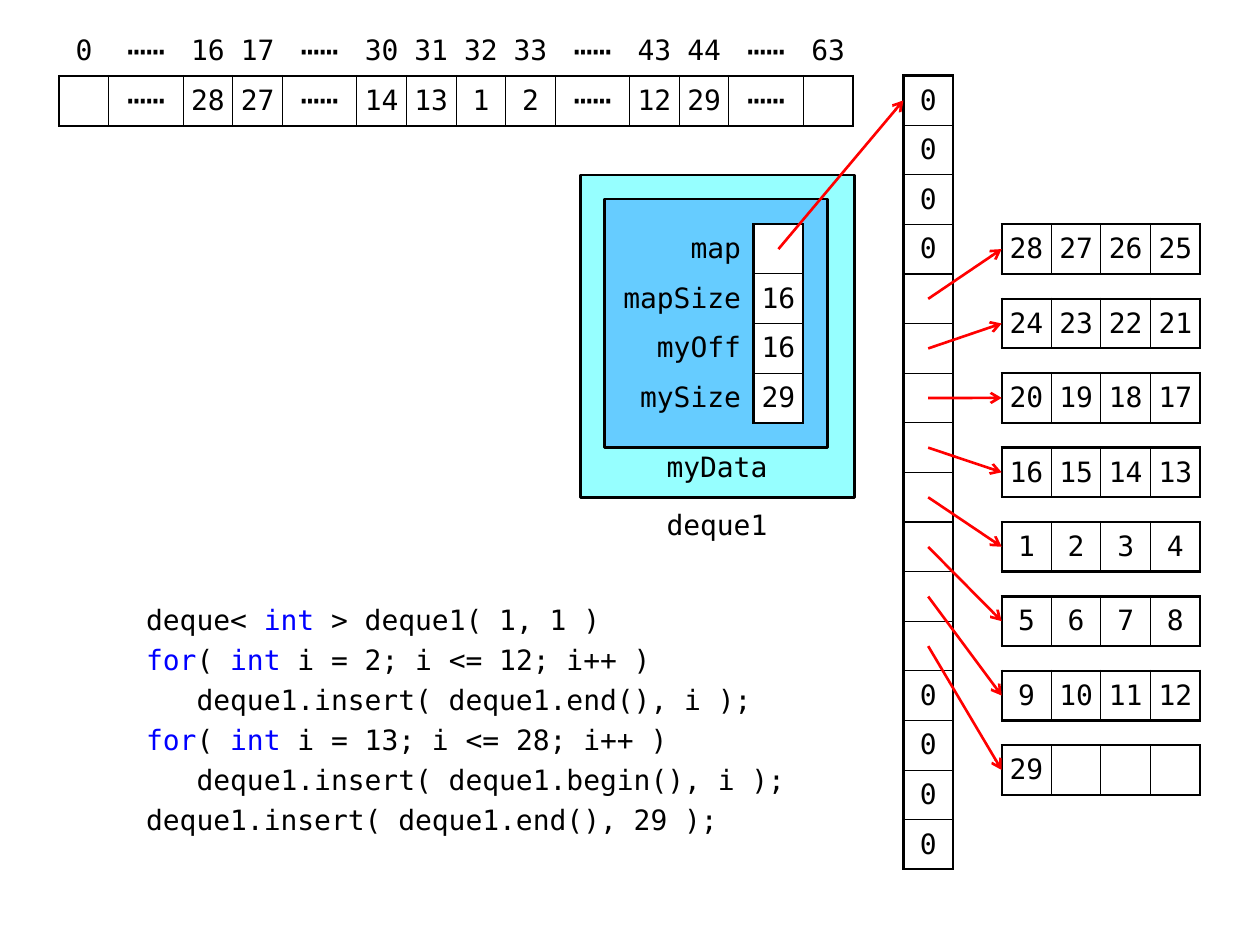
import pptx
import pptx.dml.color
import pptx.enum.shapes
import pptx.enum.text
import pptx.oxml
import pptx.oxml.ns
import pptx.util
from lxml import etree

Inches, Pt = pptx.util.Inches, pptx.util.Pt
ALIGN, ANCHOR = pptx.enum.text.PP_ALIGN, pptx.enum.text.MSO_ANCHOR
qn = pptx.oxml.ns.qn
NO_STYLE = "{2D5ABB26-0587-4C30-8999-92F81FD0307C}"

CELL = 6.3 / 16           # side of one memory cell
BLOCK_STEP = 1.5 * CELL   # distance between two blocks
DOTS = "⋯⋯"


def color(value):
    return pptx.dml.color.RGBColor.from_string(value)


def set_attrs(obj, **values):
    for name, value in values.items():
        setattr(obj, name, value)


class Diagram:
    font = {"name": "DejaVu Sans Mono", "size": Pt(16)}
    ink, keyword, pointer, paper = "000000", "0000FF", "FF0000", "FFFFFF"
    thick, thin = 1.5, 0.75

    def __init__(self, slide):
        self.slide = slide

    def run(self, p, text, fill=ink, **changes):
        r = p.add_run()
        r.text = text
        set_attrs(r.font, **{**self.font, **changes})
        r.font.color.rgb = color(fill)
        return r

    def code(self, sp, x, y, w, h, lines):
        """Code lines; every second part between bars is a keyword."""
        set_attrs(sp, left=Inches(x), top=Inches(y), width=Inches(w), height=Inches(h))
        tf = sp.text_frame
        set_attrs(tf, word_wrap=True, auto_size=pptx.enum.text.MSO_AUTO_SIZE.NONE)
        for i, line in enumerate(lines):
            p = tf.add_paragraph() if i else tf.paragraphs[0]
            pPr = p._p.get_or_add_pPr()
            set_attrs(p, space_before=Pt(3.7 if i else 0), alignment=ALIGN.LEFT)
            pPr.set("marL", "0")
            pPr.set("indent", "0")
            etree.SubElement(pPr, qn("a:buNone"))
            for j, part in enumerate(line.split("|")):
                if part:
                    self.run(p, part, self.keyword if j % 2 else self.ink)

    def label(self, x, y, w, h, text, anchor, top):
        tf = self.slide.shapes.add_textbox(Inches(x), Inches(y), Inches(w), Inches(h)).text_frame
        set_attrs(tf, word_wrap=True, vertical_anchor=anchor, margin_left=Inches(0.08),
                  margin_right=Inches(0.08), margin_top=Inches(top), margin_bottom=0)
        p = tf.paragraphs[0]
        p.alignment = ALIGN.CENTER
        self.run(p, text)

    def box(self, x, y, w, h, fill):
        sp = self.slide.shapes.add_shape(
            pptx.enum.shapes.MSO_SHAPE.FLOWCHART_PROCESS,
            Inches(x), Inches(y), Inches(w), Inches(h))
        sp.shadow.inherit = False
        sp.fill.solid()
        sp.fill.fore_color.rgb = color(fill)
        sp.line.color.rgb = color(self.ink)
        sp.line.width = Pt(self.thick)

    def arrow(self, x1, y1, x2, y2):
        c = self.slide.shapes.add_connector(
            pptx.enum.shapes.MSO_CONNECTOR.STRAIGHT,
            Inches(x1), Inches(y1), Inches(x2), Inches(y2))
        c.line.color.rgb = color(self.pointer)
        c.line.width = Pt(self.thick)
        etree.SubElement(c.line._get_or_add_ln(), qn("a:tailEnd"), type="arrow")
        etree.SubElement(c._element.spPr, qn("a:effectLst"))

    def borders(self, cell, edges):
        tcPr = cell._tc.get_or_add_tcPr()
        for side, outer in zip("LRTB", edges):
            width = Pt(self.thick if outer else self.thin)
            ln = etree.SubElement(tcPr, qn("a:ln" + side), w=str(int(width)))
            fill = etree.SubElement(ln, qn("a:solidFill"))
            etree.SubElement(fill, qn("a:srgbClr"), val=self.ink)

    def table(self, x, y, rows, widths, row0=0, col0=0):
        """Cells from row0 and col0 on are framed; the others are captions."""
        n, m = len(rows), len(widths)
        t = self.slide.shapes.add_table(n, m, Inches(x), Inches(y), Inches(sum(widths)),
                                        Inches(n * CELL)).table
        set_attrs(t, first_row=False, horz_banding=False)
        t._tbl.tblPr.find(qn("a:tableStyleId")).text = NO_STYLE
        for column, width in zip(t.columns, widths):
            column.width = Inches(width)
        for i, row in enumerate(rows):
            t.rows[i].height = Inches(CELL)
            for j, text in enumerate(row):
                cell = t.cell(i, j)
                side = Inches(0.1 if j < col0 else 0.04)
                set_attrs(cell, vertical_anchor=ANCHOR.MIDDLE, margin_left=side,
                          margin_right=side, margin_top=Inches(0.04), margin_bottom=Inches(0.04))
                if i >= row0 and j >= col0:
                    self.borders(cell, (j == col0, j == m - 1, i == row0, i == n - 1))
                    cell.fill.solid()
                    cell.fill.fore_color.rgb = color(self.paper)
                else:
                    cell.fill.background()
                p = cell.text_frame.paragraphs[0]
                p.alignment = ALIGN.RIGHT if j < col0 else ALIGN.CENTER
                if text == DOTS:
                    self.run(p, text, size=Pt(18))
                elif text:
                    self.run(p, text)


def main():
    prs = pptx.Presentation()
    set_attrs(prs, slide_width=Inches(10), slide_height=Inches(7.5))
    s = prs.slides.add_slide(prs.slide_layouts[1])
    title = s.shapes.title._element
    title.getparent().remove(title)
    d = Diagram(s)

    # Code that fills the deque
    d.code(s.placeholders[1], 1.06, 4.73, 5.31, 2.17, [
        "deque< |int| > deque1( 1, 1 )",
        "|for|( |int| i = 2; i <= 12; i++ )",
        "   deque1.insert( deque1.end(), i );",
        "|for|( |int| i = 13; i <= 28; i++ )",
        "   deque1.insert( deque1.begin(), i );",
        "deque1.insert( deque1.end(), 29 );",
    ])

    # Map of block pointers
    map_x, map_y, block_x, block_y = 7.17, 0.6, 7.95, 1.78
    slots = ["0"] * 4 + [""] * 8 + ["0"] * 4
    d.table(map_x, map_y, [[slot] for slot in slots], [CELL])

    # Blocks and the pointers to them
    blocks = [range(k, k - 4, -1) for k in (28, 24, 20, 16)]
    blocks += [range(k, k + 4) for k in (1, 5, 9)] + [(29, "", "", "")]
    for i, block in enumerate(blocks):
        y = block_y + i * BLOCK_STEP
        d.table(block_x, y, [[str(v) for v in block]], [CELL] * 4)
        d.arrow(map_x + CELL / 2, map_y + (i + 4.5) * CELL, block_x, y + CELL / 2)

    # Elements by index
    indexes = ["0", DOTS, "16", "17", DOTS, "30", "31", "32", "33", DOTS, "43", "44", DOTS, "63"]
    values = ["", DOTS, "28", "27", DOTS, "14", "13", "1", "2", DOTS, "12", "29", DOTS, ""]
    widths = [1.5 * CELL if text == DOTS else CELL for text in indexes]
    d.table(0.47, 0.21, [indexes, values], widths, row0=1)

    # Deque object with its data members
    d.box(4.61, 1.39, 2.17, 2.56, "96FFFF")
    d.box(4.8, 1.58, 1.77, 1.97, "66CCFF")
    d.label(5, 3.95, 1.38, 0.39, "deque1", ANCHOR.MIDDLE, 0.04)
    d.label(5.2, 3.55, 0.98, 0.39, "myData", ANCHOR.TOP, 0.02)
    members = [["map", ""], ["mapSize", "16"], ["myOff", "16"], ["mySize", "29"]]
    d.table(4.8, block_y, members, [3 * CELL, CELL], col0=1)
    d.arrow(4.8 + 3.5 * CELL, block_y + CELL / 2, map_x, map_y + CELL / 2)

    prs.save("out.pptx")


if __name__ == "__main__":
    main()
